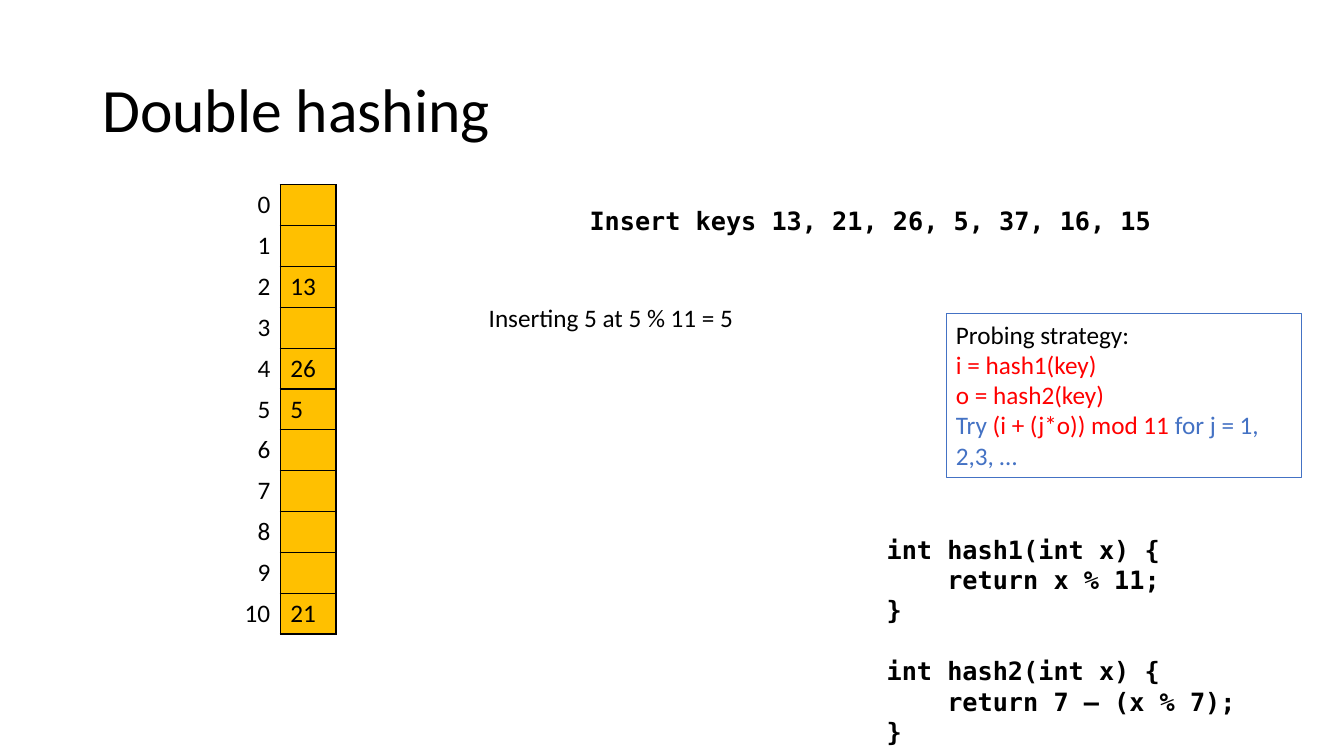
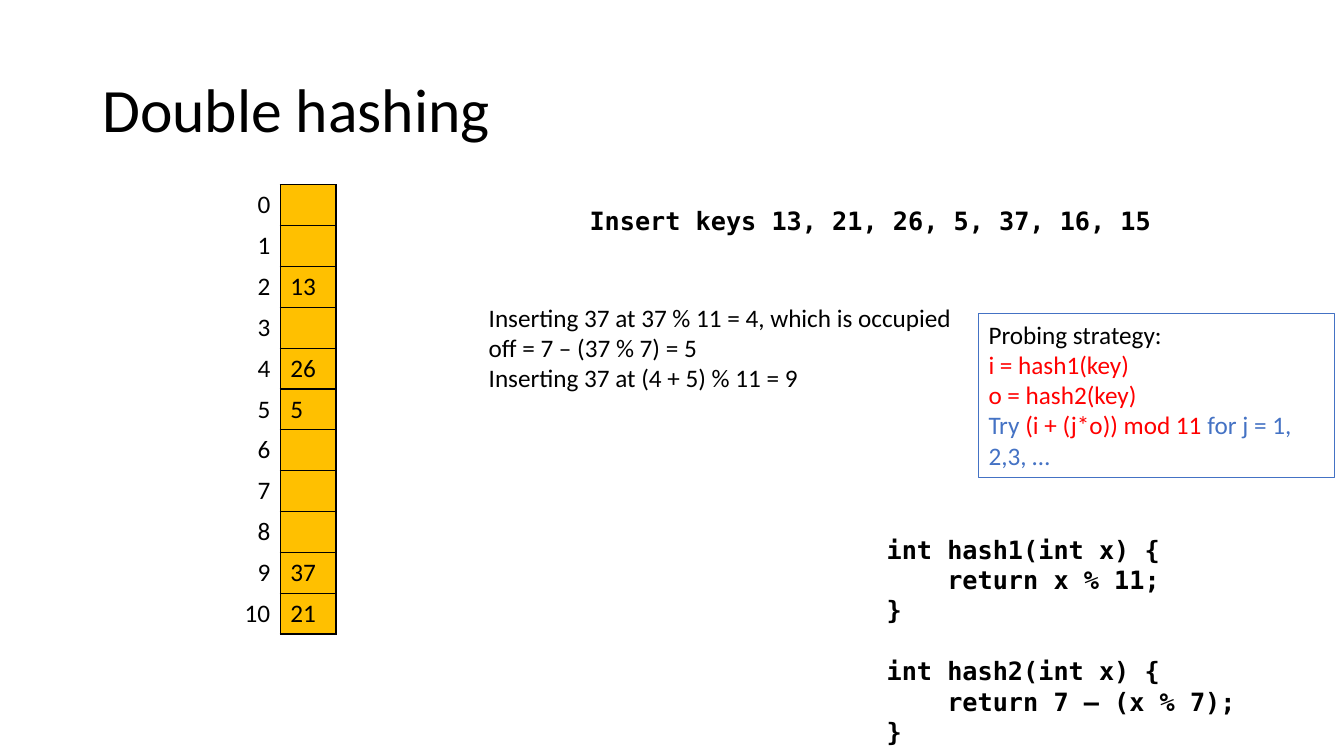
import pptx
import pptx.dml.color
import pptx.enum.shapes
import pptx.enum.text
import pptx.oxml
import pptx.oxml.ns
import pptx.util

PX = 9525
BLACK, RED, BLUE, GOLD = "000000", "FF0000", "4472C4", "FFC000"
BODY = {"name": "Calibri", "size": pptx.util.Pt(18)}
TITLE = {"name": "Calibri", "size": pptx.util.Pt(44)}
CODE = {"name": "DejaVu Sans Mono", "size": pptx.util.Pt(18), "bold": True}
LEFT = pptx.enum.text.PP_ALIGN.LEFT
RIGHT = pptx.enum.text.PP_ALIGN.RIGHT
TOP = pptx.enum.text.MSO_ANCHOR.TOP
MIDDLE = pptx.enum.text.MSO_ANCHOR.MIDDLE
TABLE_SIZE = 11

KEYS = "Insert keys 13, 21, 26, 5, 37, 16, 15"
HASH_FUNCTIONS = [
    ["int hash1(int x) {", "    return x % 11;", "}"],
    ["int hash2(int x) {", "    return 7 – (x % 7);", "}"],
]
STRATEGY = [
    "Probing strategy:",
    [("i = hash1(key)", RED)],
    [("o = hash2(key)", RED)],
    [("Try ", BLUE), ("(i + (j*o)) mod 11 ", RED), ("for j = 1, 2,3, …", BLUE)],
]
PAGES = [
    {
        "slots": {2: 13, 4: 26, 5: 5, 10: 21},
        "steps": ["Inserting 5 at 5 % 11 = 5"],
        "strategy_left": 901,
    },
    {
        "slots": {2: 13, 4: 26, 5: 5, 9: 37, 10: 21},
        "steps": [
            "Inserting 37 at 37 % 11 = 4, which is occupied",
            "off = 7 – (37 % 7) = 5",
            "Inserting 37 at (4 + 5) % 11 = 9",
        ],
        "strategy_left": 932,
    },
]


def rgb(value):
    return pptx.dml.color.RGBColor.from_string(value)


def emu(box):
    return [pptx.util.Emu(length * PX) for length in box]


def write_lines(frame, lines, style, align=LEFT):
    """Write one paragraph per line; a line is a string or (text, colour) spans."""
    for index, line in enumerate(lines):
        para = frame.paragraphs[0] if index == 0 else frame.add_paragraph()
        para.alignment = align
        for text, colour in [(line, BLACK)] if isinstance(line, str) else line:
            span = para.add_run()
            span.text = text
            for name, value in style.items():
                setattr(span.font, name, value)
            span.font.color.rgb = rgb(colour)


def add_text(page, box, lines, style, anchor=TOP):
    frame = page.shapes.add_textbox(*emu(box)).text_frame
    frame.word_wrap = True
    frame.vertical_anchor = anchor
    write_lines(frame, lines, style)
    return frame


def add_title(page, box):
    frame = add_text(page, box, ["Double hashing"], TITLE, MIDDLE)
    frame.paragraphs[0].line_spacing = 0.9


def add_code(page, box):
    """Write the hash functions, one line's height apart."""
    lines = [line for function in HASH_FUNCTIONS for line in function]
    frame = add_text(page, box, lines, CODE)
    second_function = frame.paragraphs[len(HASH_FUNCTIONS[0])]
    second_function.space_before = pptx.util.Pt(22)


def add_strategy(page, box):
    panel = page.shapes.add_shape(
        pptx.enum.shapes.MSO_SHAPE.RECTANGLE, *emu(box))
    panel.shadow.inherit = False
    panel.fill.background()
    panel.line.color.rgb = rgb(BLUE)
    panel.line.width = pptx.util.Pt(0.75)
    panel.text_frame.word_wrap = True
    panel.text_frame.vertical_anchor = TOP
    write_lines(panel.text_frame, STRATEGY, BODY)


def set_borders(cell, sides):
    """Draw 1 pt black borders; sides are in schema order L, R, T, B."""
    properties = cell._tc.get_or_add_tcPr()
    for index, side in enumerate(sides):
        border = pptx.oxml.parse_xml(
            f'<a:ln{side} {pptx.oxml.ns.nsdecls("a")} w="12700">'
            f'<a:solidFill><a:srgbClr val="{BLACK}"/></a:solidFill></a:ln{side}>')
        properties.insert(index, border)


def add_hash_table(page, box, slots):
    table = page.shapes.add_table(TABLE_SIZE, 2, *emu(box)).table
    table.first_row = False
    table.horz_banding = False
    for index in range(TABLE_SIZE):
        label, slot = table.cell(index, 0), table.cell(index, 1)
        label.fill.background()
        slot.fill.solid()
        slot.fill.fore_color.rgb = rgb(GOLD)
        set_borders(label, "R")
        set_borders(slot, "LRTB")
        write_lines(label.text_frame, [str(index)], BODY, RIGHT)
        if index in slots:
            write_lines(slot.text_frame, [str(slots[index])], BODY)


def add_page(deck, slots, steps, strategy_left):
    page = deck.slides.add_slide(deck.slide_layouts[6])
    add_title(page, (88, 38, 1104, 139))
    add_hash_table(page, (214, 176, 106, 428), slots)
    add_code(page, (835, 504, 357, 213))
    add_text(page, (552, 191, 601, 38), [KEYS], CODE)
    add_text(page, (456, 283, 553, 9 + 29 * len(steps)), steps, BODY)
    add_strategy(page, (strategy_left, 299, 339, 156))


def main():
    deck = pptx.Presentation()
    deck.slide_width, deck.slide_height = emu((1280, 720))
    for content in PAGES:
        add_page(deck, **content)
    deck.save("out.pptx")


if __name__ == "__main__":
    main()
